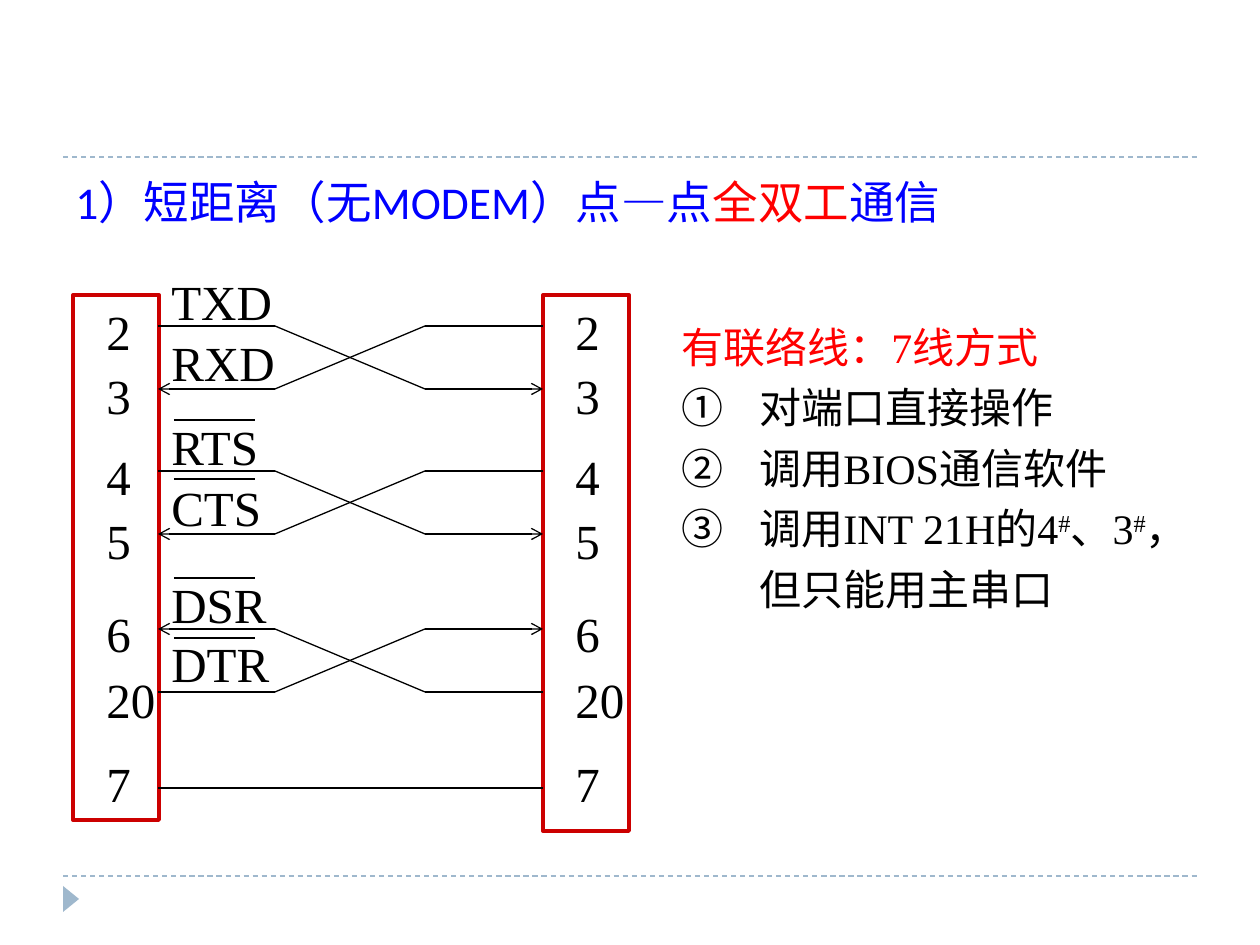
from dataclasses import dataclass

import pptx
import pptx.dml.color
import pptx.enum.dml
import pptx.enum.shapes
import pptx.oxml.ns
import pptx.oxml.xmlchemy
import pptx.util
from lxml import etree

EMU_PER_PX = 914400 / 126


@dataclass(frozen=True)
class Theme:
    """Colours, fonts and type sizes of the slide."""
    blue: str = "0000FF"
    red: str = "FF0000"
    black: str = "000000"
    frame: str = "CC0000"
    accent: str = "9FB8CD"
    title_font: str = "Calibri"
    body_font: str = "Times New Roman"
    title_size: int = 26
    label_size: int = 28
    note_size: int = 24
    thin: float = 0.75
    thick: float = 2.25


@dataclass(frozen=True)
class Signal:
    """One line of the cable, with its label and pin heights."""
    name: str
    pin: str
    wire_y: int
    pin_top: int
    label_top: int
    bar_y: int = 0


THEME = Theme()
LEFT_FRAME = (73, 295, 86, 525)
RIGHT_FRAME = (543, 295, 86, 536)
WIRE_X = (158, 275, 425, 543)
BAR_X = (174, 255)
PIN_X = (94, 563)
LABEL_X = 159
TEXT_HEIGHT = 72
HANGING = 78

CROSSED_PAIRS = [
    (Signal("TXD", "2", 326, 295, 265), Signal("RXD", "3", 389, 359, 326), 389),
    (Signal("RTS", "4", 471, 440, 410, 420), Signal("CTS", "5", 534, 504, 471, 479), 534),
    (Signal("DSR", "6", 629, 597, 568, 578), Signal("DTR", "20", 692, 663, 627, 638), 629),
]
GROUND = Signal("", "7", 788, 747, 0)

TITLE = [("1）短距离（无MODEM）点—点", THEME.blue), ("全双工", THEME.red), ("通信", THEME.blue)]
NOTE_HEADING = "有联络线：7线方式"
NOTES = [
    [("对端口直接操作", False)],
    [("调用BIOS通信软件", False)],
    [("调用INT 21H的4", False), ("#", True), ("、3", False), ("#", True), ("，但只能用主串口", False)],
]


def px(value):
    """Turn pixels into EMU."""
    return pptx.util.Emu(round(value * EMU_PER_PX))


def rgb(value):
    """Turn a hex string into a colour."""
    return pptx.dml.color.RGBColor.from_string(value)


def add_text_frame(slide, *box):
    """Add a wrapping text box and return its frame."""
    frame = slide.shapes.add_textbox(*map(px, box)).text_frame
    frame.word_wrap = True
    return frame


def add_run(paragraph, text, size, font, color, raised=False):
    """Add one styled run to a paragraph."""
    run = paragraph.add_run()
    run.text = text
    run.font.size = pptx.util.Pt(size)
    run.font.name = font
    run.font.color.rgb = rgb(color)
    if raised:
        run.font._element.set("baseline", "30000")


def add_label(slide, text, left, top, width):
    """Add a diagram label."""
    frame = add_text_frame(slide, left, top, width, TEXT_HEIGHT)
    add_run(frame.paragraphs[0], text, THEME.label_size, THEME.body_font, THEME.black)


def add_line(slide, start, end, color=THEME.black, arrow=False, dashed=False):
    """Add a straight line, with an arrowhead at its end if wanted."""
    points = map(px, (*start, *end))
    line = slide.shapes.add_connector(pptx.enum.shapes.MSO_CONNECTOR.STRAIGHT, *points)
    line.line.width = pptx.util.Pt(THEME.thin)
    line.line.color.rgb = rgb(color)
    if dashed:
        line.line.dash_style = pptx.enum.dml.MSO_LINE.DASH
    properties = line._element.spPr
    if arrow:
        outline = properties.find(pptx.oxml.ns.qn("a:ln"))
        etree.SubElement(outline, pptx.oxml.ns.qn("a:tailEnd")).set("type", "arrow")
    etree.SubElement(properties, pptx.oxml.ns.qn("a:effectLst"))


def add_frame(slide, box):
    """Add the outlined body of a connector."""
    shape = slide.shapes.add_shape(pptx.enum.shapes.MSO_SHAPE.RECTANGLE, *map(px, box))
    shape.shadow.inherit = False
    shape.fill.background()
    shape.line.color.rgb = rgb(THEME.frame)
    shape.line.width = pptx.util.Pt(THEME.thick)


def add_decoration(slide):
    """Add the dashed rules and the corner triangle."""
    for y in (876, 157):
        add_line(slide, (63, y), (1197, y), THEME.accent, dashed=True)
    box = map(px, (58, 891, 26, 16))
    triangle = slide.shapes.add_shape(pptx.enum.shapes.MSO_SHAPE.ISOSCELES_TRIANGLE, *box)
    triangle.rotation = 90
    triangle.shadow.inherit = False
    triangle.fill.solid()
    triangle.fill.fore_color.rgb = rgb(THEME.accent)
    triangle.line.fill.background()


def add_title(slide):
    """Add the heading line."""
    paragraph = add_text_frame(slide, 63, 168, 1134, TEXT_HEIGHT).paragraphs[0]
    for text, color in TITLE:
        add_run(paragraph, text, THEME.title_size, THEME.title_font, color)


def add_notes(slide):
    """Add the heading and the numbered list beside the diagram."""
    frame = add_text_frame(slide, 669, 305, 546, 318)
    heading = frame.paragraphs[0]
    heading.line_spacing = 1.2
    add_run(heading, NOTE_HEADING, THEME.note_size, THEME.body_font, THEME.red)
    for runs in NOTES:
        paragraph = frame.add_paragraph()
        properties = paragraph._p.get_or_add_pPr()
        properties.set("marL", str(px(HANGING)))
        properties.set("indent", str(-px(HANGING)))
        number = etree.SubElement(properties, pptx.oxml.ns.qn("a:buAutoNum"))
        number.set("type", "circleNumDbPlain")
        paragraph.line_spacing = 1.2
        for text, raised in runs:
            add_run(paragraph, text, THEME.note_size, THEME.body_font, THEME.black, raised)


def add_pins(slide, signal):
    """Add the pin number on both connectors."""
    for left in PIN_X:
        add_label(slide, signal.pin, left, signal.pin_top, 111)


def add_crossed_pair(slide, upper, lower, arrow_y):
    """Add two signals whose wires cross between the connectors."""
    left, left_bend, right_bend, right = WIRE_X
    for signal, other in ((upper, lower), (lower, upper)):
        y = signal.wire_y
        add_pins(slide, signal)
        add_label(slide, signal.name, LABEL_X, signal.label_top, 203)
        add_line(slide, (left_bend, y), (left, y), arrow=y == arrow_y)
        add_line(slide, (right_bend, y), (right, y), arrow=y == arrow_y)
        add_line(slide, (left_bend, y), (right_bend, other.wire_y))
        if signal.bar_y:
            add_line(slide, (BAR_X[0], signal.bar_y), (BAR_X[1], signal.bar_y))


def main():
    """Build the slide and save it."""
    presentation = pptx.Presentation()
    presentation.slide_width, presentation.slide_height = px(1260), px(945)
    slide = presentation.slides.add_slide(presentation.slide_layouts[6])
    add_decoration(slide)
    add_title(slide)
    add_notes(slide)
    for box in (LEFT_FRAME, RIGHT_FRAME):
        add_frame(slide, box)
    add_pins(slide, GROUND)
    add_line(slide, (WIRE_X[0], GROUND.wire_y), (WIRE_X[-1], GROUND.wire_y))
    for upper, lower, arrow_y in CROSSED_PAIRS:
        add_crossed_pair(slide, upper, lower, arrow_y)
    presentation.save("out.pptx")


if __name__ == "__main__":
    main()
